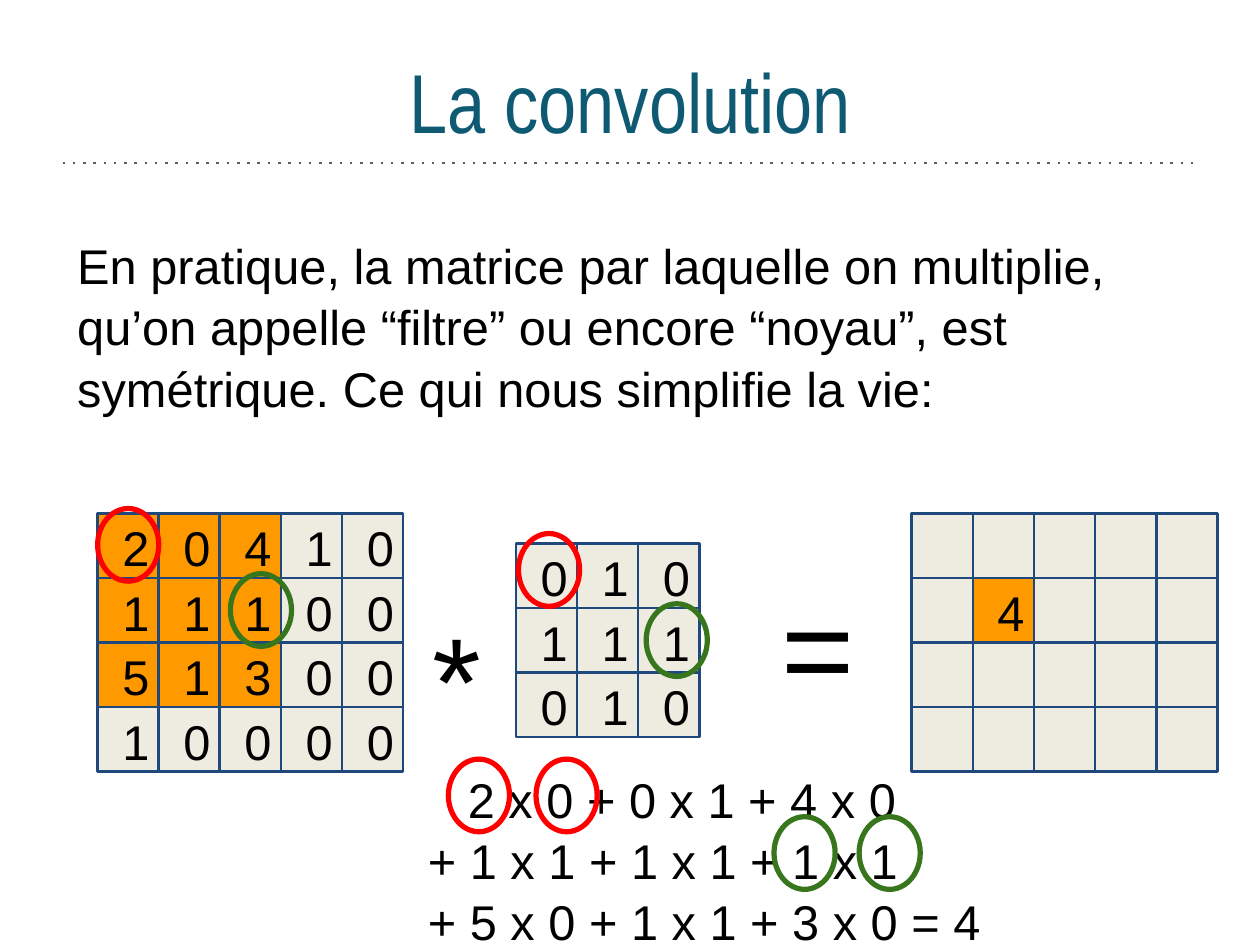
"""Build the slide on convolution with a symmetric filter."""
from lxml.etree import SubElement
from pptx import Presentation
from pptx.dml.color import RGBColor
from pptx.enum.dml import MSO_LINE
from pptx.enum.shapes import MSO_CONNECTOR, MSO_SHAPE
from pptx.enum.text import MSO_ANCHOR, PP_ALIGN
from pptx.oxml.ns import qn
from pptx.util import Inches, Pt

COLORS = {
    "title": "0E5A73", "rule": "5C5C5C", "text": "000000", "grid": "1F497D",
    "cell": "EEECE1", "window": "FF9900", "first": "FF0000", "second": "38761D",
}
CELL_W, CELL_H = 1.22 / 5, 1.03 / 4


def write(shape, text, size=14, font="Arial", color="text", align=PP_ALIGN.LEFT,
          anchor=MSO_ANCHOR.TOP, spacing=1.05):
    """Write text into a shape, one paragraph a line, and return its paragraphs."""
    frame = shape.text_frame
    frame.text = text
    frame.word_wrap = True
    frame.vertical_anchor = anchor
    frame.margin_left = frame.margin_right = Inches(0.1)
    frame.margin_top = frame.margin_bottom = Inches(0.1)
    for paragraph in frame.paragraphs:
        paragraph.alignment = align
        paragraph.line_spacing = spacing
        paragraph.font.size = Pt(size)
        paragraph.font.name = font
        paragraph.font.color.rgb = RGBColor.from_string(COLORS[color])
    return frame.paragraphs


def outline(shapes, kind, left, top, width, height, color, weight):
    """Add an unfilled preset shape with a coloured outline."""
    shape = shapes.add_shape(kind, Inches(left), Inches(top), Inches(width), Inches(height))
    shape.shadow.inherit = False
    shape.fill.background()
    shape.line.color.rgb = RGBColor.from_string(COLORS[color])
    shape.line.width = Pt(weight)
    return shape


prs = Presentation()
prs.slide_width, prs.slide_height = Inches(5.03), Inches(3.78)
slide = prs.slides.add_slide(prs.slide_layouts[5])

title = slide.shapes.title
title.left, title.top, title.width, title.height = 0, 0, Inches(5.03), Inches(0.8)
write(title, "La convolution", size=24, font="Arial Narrow", color="title",
      align=PP_ALIGN.CENTER, anchor=MSO_ANCHOR.MIDDLE, spacing=1.0)

rule = slide.shapes.add_connector(
    MSO_CONNECTOR.STRAIGHT, Inches(0.25), Inches(0.65), Inches(4.78), Inches(0.65))
rule.line.color.rgb = RGBColor.from_string(COLORS["rule"])
rule.line.width = Pt(0.75)
rule.line.dash_style = MSO_LINE.ROUND_DOT
rule_properties = rule.element.spPr
rule_properties.find(".//" + qn("a:prstDash")).set("val", "dot")
SubElement(rule_properties, qn("a:effectLst"))

window = {(row, column) for row in range(3) for column in range(3)}
matrices = [
    (0.39, 2.05, ["20410", "11100", "51300", "10000"], window),
    (2.06, 2.17, ["010", "111", "010"], set()),
    (3.64, 2.05, ["     ", " 4   ", "     ", "     "], {(1, 1)}),
]
for left, top, rows, highlighted in matrices:
    matrix = slide.shapes.add_group_shape()
    for row, values in enumerate(rows):
        for column, value in enumerate(values):
            cell = outline(matrix.shapes, MSO_SHAPE.RECTANGLE, left + column * CELL_W,
                           top + row * CELL_H, CELL_W, CELL_H, "grid", 0.75)
            fill = "window" if (row, column) in highlighted else "cell"
            cell.fill.solid()
            cell.fill.fore_color.rgb = RGBColor.from_string(COLORS[fill])
            if value.strip():
                write(cell, value, anchor=MSO_ANCHOR.MIDDLE)

explanation = ("En pratique, la matrice par laquelle on multiplie, qu’on appelle “filtre” "
               "ou encore “noyau”, est symétrique. Ce qui nous simplifie la vie:")
products = "2 x 0 + 0 x 1 + 4 x 0\n+ 1 x 1 + 1 x 1 + 1 x 1\n+ 5 x 0 + 1 x 1 + 3 x 0 = 4"
passages = [
    (1.63, 2.27, 0.41, 0.45, "*", 36, MSO_ANCHOR.TOP),
    (3.02, 2.23, 0.78, 0.65, "=", 36, MSO_ANCHOR.MIDDLE),
    (0.21, 0.83, 4.38, 0.55, explanation, 14, MSO_ANCHOR.TOP),
    (1.61, 2.96, 2.67, 0.8, products, 14, MSO_ANCHOR.TOP),
]
for left, top, width, height, text, size, anchor in passages:
    passage = slide.shapes.add_textbox(Inches(left), Inches(top), Inches(width), Inches(height))
    paragraphs = write(passage, text, size=size, anchor=anchor)
    if text == products:
        indent = paragraphs[0]._p.get_or_add_pPr()
        indent.set("marL", str(Inches(0.16)))
        indent.set("indent", "0")

circles = {
    "first": [(0.39, 2.03), (2.07, 2.13), (1.79, 3.03), (2.14, 3.03)],
    "second": [(0.92, 2.29), (2.58, 2.41), (3.09, 3.26), (3.43, 3.26)],
}
for color, places in circles.items():
    for left, top in places:
        outline(slide.shapes, MSO_SHAPE.OVAL, left, top, CELL_W, 0.29, color, 1.5)

prs.save("out.pptx")
